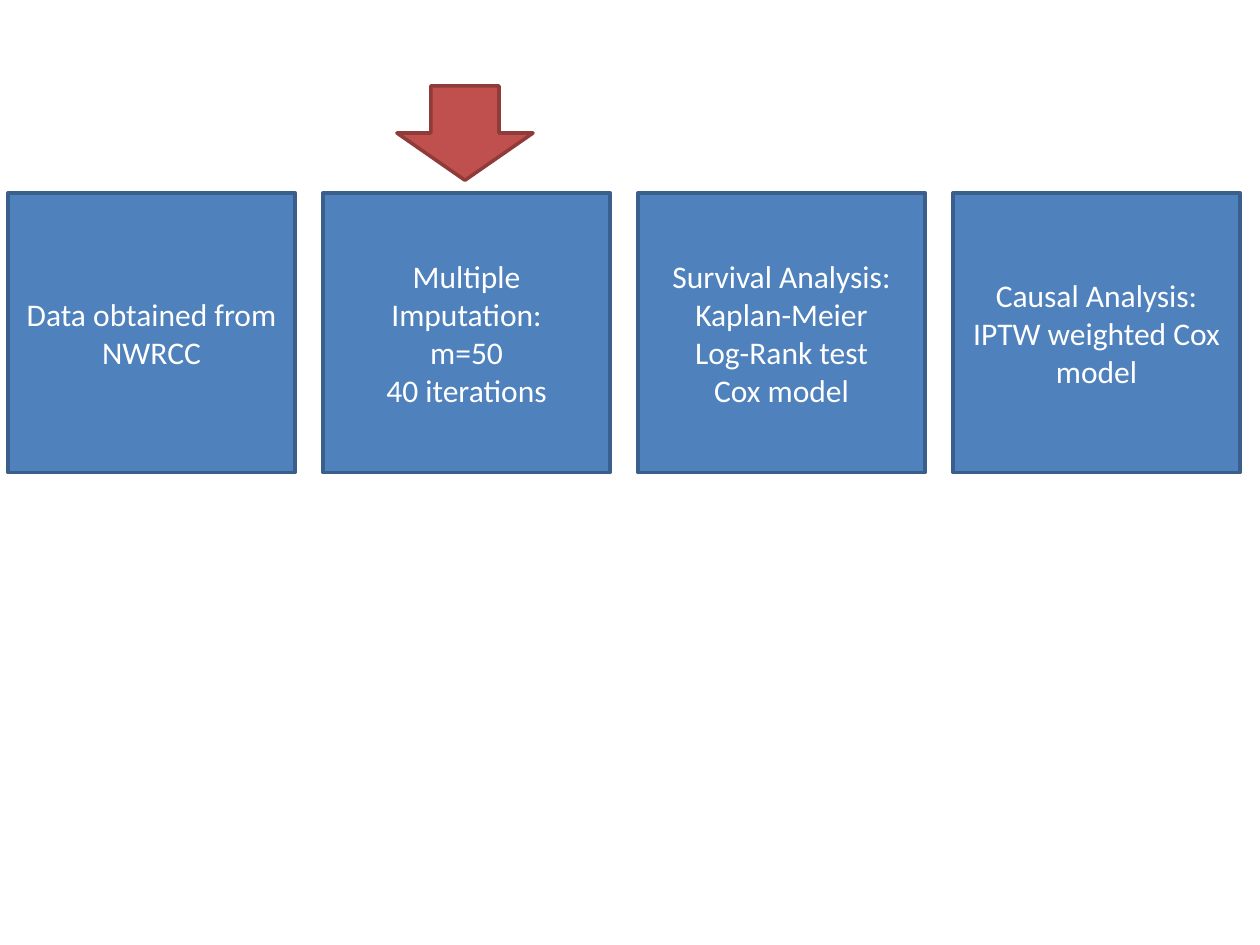
from dataclasses import dataclass

from pptx import Presentation
from pptx.dml.color import RGBColor
from pptx.enum.shapes import MSO_SHAPE
from pptx.enum.text import MSO_ANCHOR, PP_ALIGN
from pptx.util import Pt

RECTANGLE = MSO_SHAPE.RECTANGLE
DOWN_ARROW = MSO_SHAPE.DOWN_ARROW
MIDDLE = MSO_ANCHOR.MIDDLE
CENTER = PP_ALIGN.CENTER

BLANK_LAYOUT = 6
FIRST_LEFT, STEP_TOP, STEP_PITCH = 4.5, 110.2, 180
STEP_WIDTH, STEP_HEIGHT = 164.2, 159.8
FONT_FORMAT = {"name": "Calibri", "size": Pt(18)}

STEPS = [
    ["Data obtained from NWRCC"],
    ["Multiple Imputation:", "m=50", "40 iterations"],
    ["Survival Analysis:", "Kaplan-Meier", "Log-Rank test", "Cox model"],
    ["Causal Analysis:", "IPTW weighted Cox model"],
]


@dataclass
class Block:
    kind: MSO_SHAPE
    left: float
    top: float
    width: float
    height: float
    fill: str
    line: str
    lines: list[str]


def set_color(color_format, value: str) -> None:
    color_format.rgb = RGBColor.from_string(value)


def draw_block(slide, block: Block) -> None:
    shape = slide.shapes.add_shape(
        block.kind, Pt(block.left), Pt(block.top), Pt(block.width), Pt(block.height)
    )
    shape.shadow.inherit = False
    shape.fill.solid()
    set_color(shape.fill.fore_color, block.fill)
    set_color(shape.line.color, block.line)
    shape.line.width = Pt(2)
    if block.lines:
        write_lines(shape.text_frame, block.lines)


def write_lines(text_frame, lines: list[str]) -> None:
    text_frame.word_wrap = True
    text_frame.vertical_anchor = MIDDLE
    text_frame.text = "\n".join(lines)
    for paragraph in text_frame.paragraphs:
        paragraph.alignment = CENTER
        for run in paragraph.runs:
            for attribute, value in FONT_FORMAT.items():
                setattr(run.font, attribute, value)
            set_color(run.font.color, "FFFFFF")


def main() -> None:
    presentation = Presentation()
    presentation.slide_width = Pt(720)
    presentation.slide_height = Pt(540)
    slide = presentation.slides.add_slide(presentation.slide_layouts[BLANK_LAYOUT])
    for index, lines in enumerate(STEPS):
        left = FIRST_LEFT + index * STEP_PITCH
        draw_block(slide, Block(RECTANGLE, left, STEP_TOP, STEP_WIDTH, STEP_HEIGHT,
                                "4F81BD", "3A5F8C", lines))
    draw_block(slide, Block(DOWN_ARROW, 226.8, 49, 77.8, 54, "C0504D", "8E3B39", []))
    presentation.save("out.pptx")


if __name__ == "__main__":
    main()
